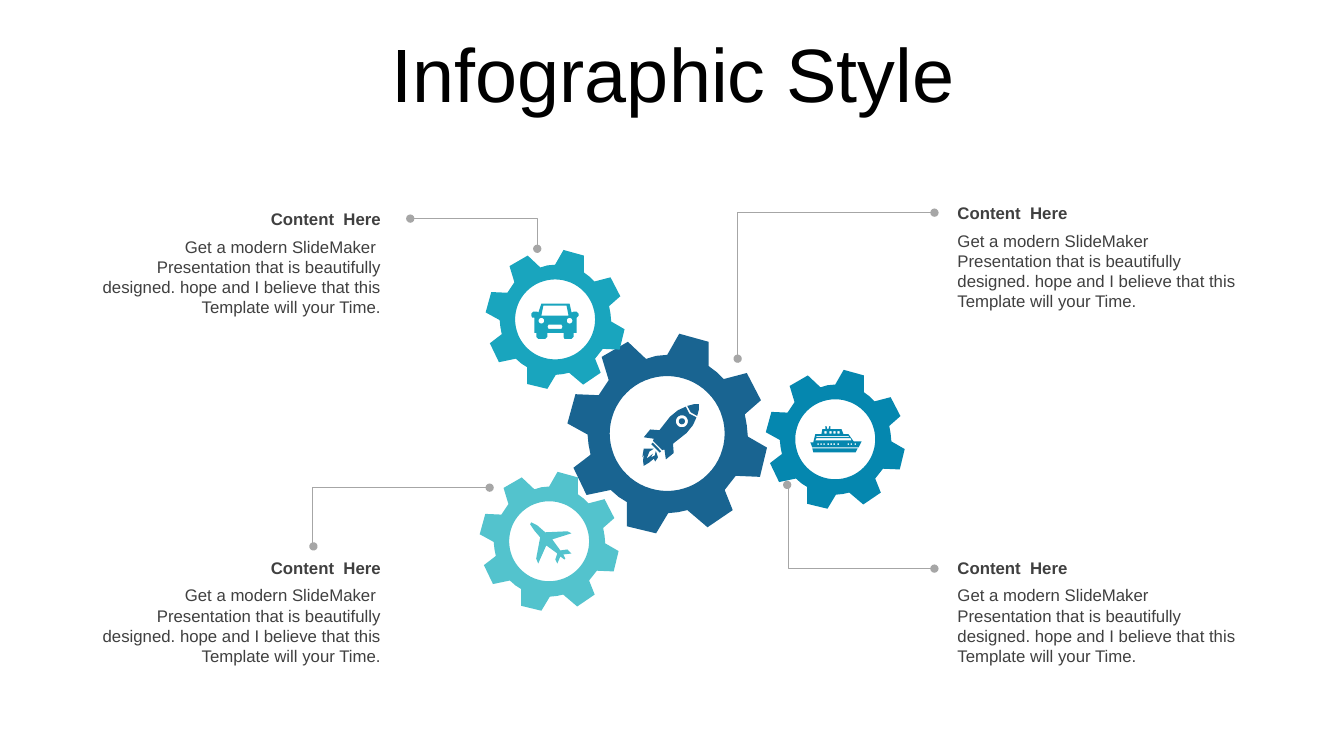
import math

from pptx import Presentation
from pptx import util as u
from pptx.dml import color
from pptx.enum import shapes, text
from pptx.oxml import ns
from lxml import etree

FONT = "Arial"
DARK = "404040"
NAVY, BLUE, TEAL, AQUA = "196491", "0587AF", "19A5BE", "53C3CD"
FINE = 10
ICON_UNIT = u.Cm(2.54) / 100
GEAR_UNITS = 198
HEADING = "Content  Here"
BODY = ("Get a modern SlideMaker  Presentation that is beautifully designed. "
        "hope and I believe that this Template will your Time.")


def rgb(value):
    """Turn a hex string into a colour."""
    return color.RGBColor.from_string(value)


def circle(x, y, radius):
    """Return the points of a circle."""
    angles = [math.tau * step / 64 for step in range(64)]
    return [(x + radius * math.cos(a), y + radius * math.sin(a)) for a in angles]


def box(x, y, width, height):
    """Return the corners of a rectangle."""
    return [(x, y), (x + width, y), (x + width, y + height), (x, y + height)]


GEAR = [
    [(111, 0), (140, 8), (140, 32), (148, 38), (155, 45), (178, 39), (192, 66),
     (176, 80), (178, 91), (179, 102), (198, 113), (191, 142), (167, 141),
     (156, 155), (164, 175), (139, 192), (119, 175), (110, 177), (100, 178),
     (88, 198), (59, 191), (59, 167), (51, 162), (43, 155), (19, 160), (6, 133),
     (23, 120), (21, 110), (20, 100), (0, 89), (8, 60), (31, 61), (41, 46),
     (34, 23), (60, 8), (78, 25), (88, 22), (99, 21)],
    circle(99, 99, 57),
]
CAR = [
    [(10, 0), (38, 0), (40, 9), (42, 8), (45, 8), (47, 10), (47, 12), (45, 14),
     (45, 29), (42, 29), (42, 33), (40, 35), (33, 35), (32, 33), (32, 29),
     (16, 29), (16, 33), (14, 35), (7, 35), (5, 33), (5, 29), (3, 29), (3, 14),
     (1, 14), (0, 12), (0, 10), (2, 8), (6, 8), (7, 9)],
    [(12, 2), (10, 12), (37, 12), (35, 2)],
    [(17, 21), (30, 21), (31, 23), (30, 25), (17, 25), (16, 23)],
    circle(10, 17, 2.8),
    circle(38, 17, 2.8),
]
SHIP = [
    [(19, 0), (20, 0), (20, 3), (31, 3), (33, 8), (38, 8), (43, 15), (51, 15),
     (48, 21), (2, 21), (0, 16), (3, 16), (5, 8), (11, 8), (12, 3), (15, 3),
     (15, 0), (16, 0), (17, 3), (18, 3)],
    [(2, 22), (47, 22), (45, 26), (3, 26)],
    [(6, 12), (5, 14), (41, 14), (40, 12)],
    [(6, 10), (6, 11), (39, 11), (38, 10)],
    *[box(x, 17, 1.6, 1.6) for x in (7, 10, 13, 17, 20, 23, 27, 37, 40, 44)],
    *[box(x, 5, 2.2, 2.4) for x in (14, 19, 23, 27)],
]
PLANE = [
    [(41, 31), (33, 32), (35, 36), (34, 37), (30, 34), (27, 41), (25, 37),
     (27, 31), (16, 23), (8, 41), (6, 36), (10, 15), (4, 8), (0, 2), (1, 0),
     (7, 3), (15, 10), (37, 9), (41, 11), (22, 17), (30, 28), (37, 27)],
]
ROCKET = [
    [(16.5, 0), (20, 3.5), (23.5, 9.5), (16.5, 11.5), (9.5, 9.5), (13, 3.5)],
    [(9, 11), (16.5, 13.5), (24, 11), (27, 19), (28, 29), (26, 46), (33, 52),
     (32, 62), (24, 56), (23, 58), (10, 58), (9, 56), (1, 62), (0, 52), (7, 46),
     (5, 29), (6, 19)],
    circle(16.5, 24, 6),
    circle(16.5, 24, 3),
    box(11, 59.5, 12, 2),
    [(16, 63), (15, 68), (18, 75), (19, 67), (20, 71), (21.5, 67), (19, 63),
     (25, 66), (26, 71), (23, 70), (22.5, 76), (21, 82), (17, 79), (13, 74),
     (14, 77), (9, 70)],
]


def add_outline(slide, contours, left, top, unit, fill, rotation=0):
    """Draw closed contours as one filled shape."""
    fine = [[(x * FINE, y * FINE) for x, y in points] for points in contours]
    builder = slide.shapes.build_freeform(*fine[0][0], scale=unit / FINE)
    builder.add_line_segments(fine[0][1:])
    for points in fine[1:]:
        builder.move_to(*points[0])
        builder.add_line_segments(points[1:])
    outline = builder.convert_to_shape(u.Cm(left), u.Cm(top))
    outline.fill.solid()
    outline.fill.fore_color.rgb = rgb(fill)
    outline.line.fill.background()
    outline.shadow.inherit = False
    outline.rotation = rotation


def add_text(slide, words, at, size, ink, align, bold=False, middle=True):
    """Add a wrapped text box with one paragraph and return it."""
    caption = slide.shapes.add_textbox(*map(u.Cm, at))
    frame = caption.text_frame
    frame.text = words
    frame.word_wrap = True
    frame.auto_size = text.MSO_AUTO_SIZE.SHAPE_TO_FIT_TEXT
    frame.vertical_anchor = text.MSO_ANCHOR.MIDDLE if middle else text.MSO_ANCHOR.TOP
    paragraph = frame.paragraphs[0]
    paragraph.alignment = align
    font = paragraph.runs[0].font
    font.name, font.size, font.bold = FONT, u.Pt(size), bold
    font.color.rgb = rgb(ink)
    return caption


def add_content(slide, left, top, align):
    """Add a heading with its paragraph below."""
    heading = add_text(slide, HEADING, (left, top, 7.59, 0.76), 12, DARK, align, True)
    body = add_text(slide, BODY, (left, top + 0.7, 7.59, 2.31), 12, DARK, align,
                    middle=False)
    for caption in (heading, body):
        caption.text_frame.margin_left = 0


def add_leader(slide, start, end, bend):
    """Add a thin elbow line with a dot at each end."""
    leader = slide.shapes.add_connector(
        shapes.MSO_CONNECTOR.ELBOW, *map(u.Cm, start + end))
    leader.line.width = u.Pt(0.5)
    leader.line.color.rgb = rgb("A6A6A6")
    properties = leader._element.spPr
    guides = properties.find(ns.qn("a:prstGeom")).get_or_add_avLst()
    etree.SubElement(guides, ns.qn("a:gd"), name="adj1", fmla=f"val {bend}")
    line = properties.find(ns.qn("a:ln"))
    for dot in ("a:headEnd", "a:tailEnd"):
        etree.SubElement(line, ns.qn(dot), type="oval")
    etree.SubElement(properties, ns.qn("a:effectLst"))


def main():
    """Build the slide and save it."""
    deck = Presentation()
    deck.slide_width, deck.slide_height = u.Cm(33.87), u.Cm(19.05)
    slide = deck.slides.add_slide(deck.slide_layouts[6])
    left, right = text.PP_ALIGN.LEFT, text.PP_ALIGN.RIGHT

    title = add_text(slide, "Infographic Style", (0.89, 0.79, 32.16, 2.34), 54,
                     "000000", text.PP_ALIGN.CENTER)
    title_line = title.text_frame.paragraphs[0]
    title_line.line_spacing, title_line.space_before = 0.9, u.Pt(10)

    for x, y, align in ((24.13, 4.98, left), (2.26, 13.92, right),
                        (2.26, 5.13, right), (24.13, 13.92, left)):
        add_content(slide, x, y, align)

    for start, end, bend in (((18.59, 9.04), (23.55, 5.36), -300),
                             ((23.55, 14.33), (19.84, 12.22), 98900),
                             ((7.9, 13.77), (12.34, 12.29), -500),
                             ((10.34, 5.51), (13.54, 6.27), 99900)):
        add_leader(slide, start, end, bend)

    for x, y, size, fill in ((14.3, 8.41, 5.03, NAVY), (19.3, 9.32, 3.5, BLUE),
                             (12.24, 6.3, 3.5, TEAL), (12.09, 11.89, 3.5, AQUA)):
        add_outline(slide, GEAR, x, y, u.Cm(size) / GEAR_UNITS, fill)

    for icon, x, y, fill, rotation in ((CAR, 13.39, 7.65, TEAL, 0),
                                       (SHIP, 20.42, 10.74, BLUE, 0),
                                       (PLANE, 13.36, 13.16, AQUA, 0),
                                       (ROCKET, 16.46, 9.88, NAVY, 45)):
        add_outline(slide, icon, x, y, ICON_UNIT, fill, rotation)

    deck.save("out.pptx")


if __name__ == "__main__":
    main()
